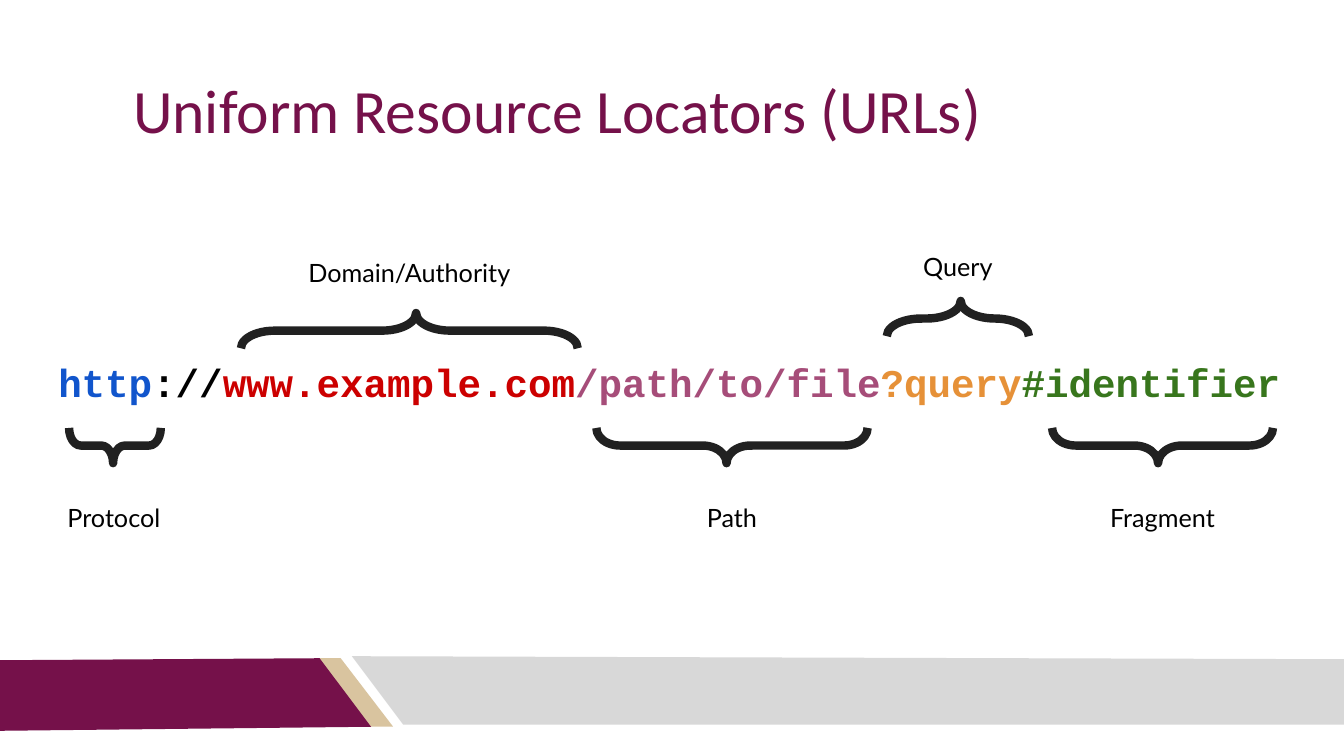
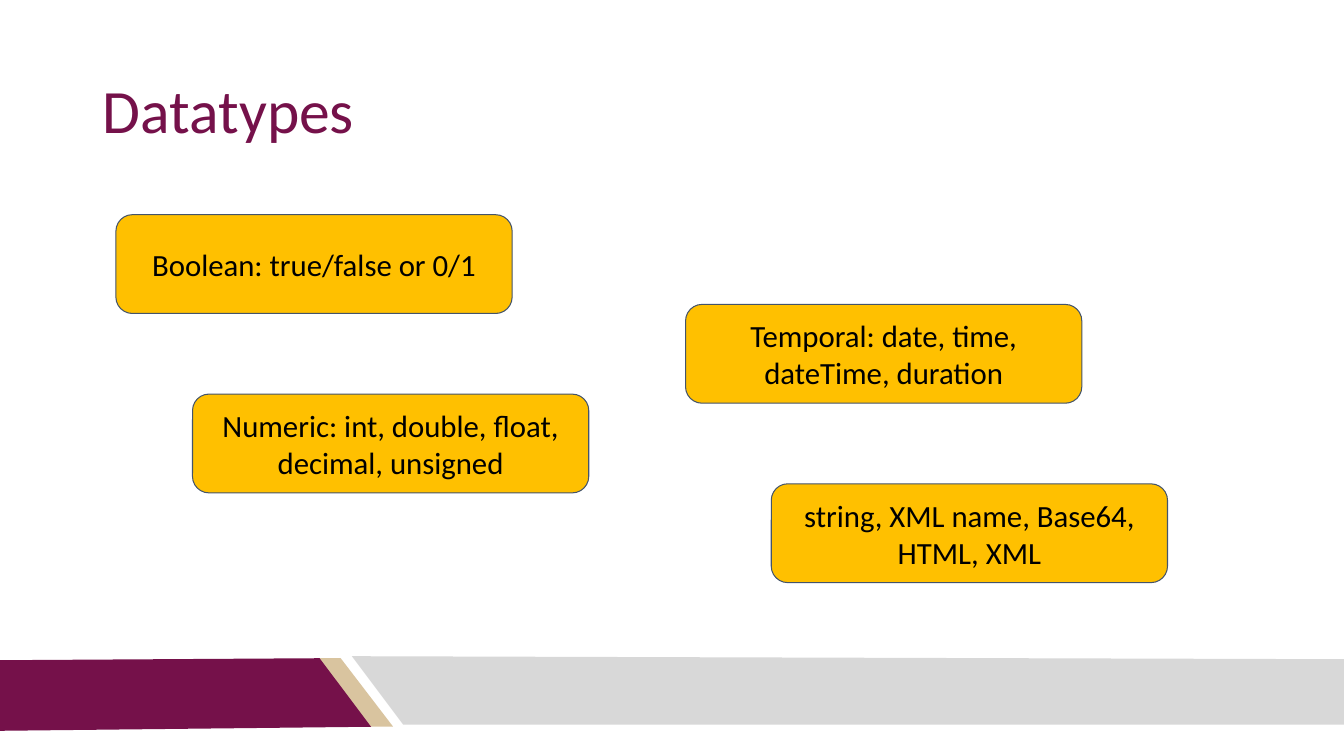
"""Build two slides: the parts of a URL, and the common datatypes."""
import pptx
import pptx.dml.color
import pptx.enum.shapes
import pptx.enum.text
import pptx.util

Inches = pptx.util.Inches
Pt = pptx.util.Pt
ALIGN = pptx.enum.text.PP_ALIGN
ANCHOR = pptx.enum.text.MSO_ANCHOR
SHAPE = pptx.enum.shapes.MSO_SHAPE

MAROON, TAN, GREY = "75114A", "D9C49F", "D8D8D8"
BLACK, CHARCOAL, AMBER, SLATE = "000000", "212121", "FFC000", "44546A"


def color(value):
    return pptx.dml.color.RGBColor.from_string(value)


def write(shape, runs, size, font, align, anchor=ANCHOR.TOP, bold=False):
    frame = shape.text_frame
    frame.word_wrap = True
    frame.auto_size = pptx.enum.text.MSO_AUTO_SIZE.NONE
    frame.vertical_anchor = anchor
    frame.margin_left = frame.margin_right = Inches(0.1)
    frame.margin_top = frame.margin_bottom = Inches(0.1)
    para = frame.paragraphs[0]
    para.alignment = align
    for text, tint in runs:
        span = para.add_run()
        span.text = text
        span.font.name = font
        span.font.size = Pt(size)
        span.font.bold = bold
        span.font.color.rgb = color(tint)
    return para


deck = pptx.Presentation()
deck.slide_width = Inches(13.33)
deck.slide_height = Inches(7.5)
layout = deck.slide_layouts[5]

pages = []
for heading, left in [("Uniform Resource Locators (URLs)", 1.22), ("Datatypes", 0.92)]:
    page = deck.slides.add_slide(layout)
    title = page.shapes.title
    title.left, title.top = Inches(left), Inches(0.4)
    title.width, title.height = Inches(11.5), Inches(1.45)
    para = write(title, [(heading, MAROON)], 44, "Calibri", ALIGN.LEFT, ANCHOR.MIDDLE)
    para.line_spacing = 0.9
    pages.append(page)
url_page, type_page = pages

bands = [
    (TAN, [(3.16, 6.53), (3.38, 6.53), (3.9, 7.21), (3.67, 7.21)]),
    (MAROON, [(0, 6.55), (3.17, 6.53), (3.68, 7.21), (0, 7.25)]),
    (GREY, [(3.49, 6.51), (13.33, 6.54), (13.33, 7.19), (4, 7.19)]),
]
for tint, corners in bands:
    points = [(Inches(x), Inches(y)) for x, y in corners]
    builder = url_page.shapes.build_freeform(*points[0])
    builder.add_line_segments(points[1:])
    band = builder.convert_to_shape()
    band.shadow.inherit = False
    band.fill.solid()
    band.fill.fore_color.rgb = color(tint)
    band.line.fill.background()
    layout.shapes.element.append(band.element)

url_parts = [
    ("http", "1155CC"),
    ("://", BLACK),
    ("www.example.com", "CC0000"),
    ("/path/to/file", "A64D79"),
    ("?query", "E69138"),
    ("#identifier", "38761D"),
]
box = url_page.shapes.add_textbox(Inches(0.48), Inches(3.45), Inches(12.57), Inches(0.71))
write(box, url_parts, 28, "Courier New", ALIGN.LEFT, bold=True)

DEPTH = 0.35
braces = [
    ("Protocol", 1.13, 4.88, 1.7, 1.14, 4.42, 0.91, 270, 0.33),
    ("Domain/Authority", 4.06, 2.45, 3.39, 4.06, 3.28, 3.34, 90, 0.96),
    ("Path", 7.26, 4.88, 1.7, 7.26, 4.42, 2.69, 270, 0.67),
    ("Query", 9.5, 2.39, 1.7, 9.5, 3.16, 1.41, 90, 1.01),
    ("Fragment", 11.53, 4.88, 1.7, 11.53, 4.42, 2.19, 270, 0.67),
]
for label, label_x, label_top, label_width, x, y, length, turn, bend in braces:
    brace = url_page.shapes.add_shape(
        SHAPE.LEFT_BRACE, Inches(x - DEPTH / 2), Inches(y - length / 2), Inches(DEPTH), Inches(length)
    )
    brace.rotation = turn
    brace.adjustments[0] = bend
    brace.adjustments[1] = 0.48
    brace.shadow.inherit = False
    brace.fill.background()
    brace.line.color.rgb = color(CHARCOAL)
    brace.line.width = Pt(6)
    box = url_page.shapes.add_textbox(
        Inches(label_x - label_width / 2), Inches(label_top), Inches(label_width), Inches(0.35)
    )
    write(box, [(label, BLACK)], 18, "Lato", ALIGN.CENTER)

datatypes = [
    (1.15, "Boolean: true/false or 0/1"),
    (6.8, "Temporal: date, time, dateTime, duration"),
    (1.91, "Numeric: int, double, float, decimal, unsigned"),
    (7.65, "string, XML name, Base64, HTML, XML"),
]
for row, (left, text) in enumerate(datatypes):
    card = type_page.shapes.add_shape(
        SHAPE.ROUNDED_RECTANGLE, Inches(left), Inches(2.13 + 0.89 * row), Inches(3.93), Inches(0.98)
    )
    card.shadow.inherit = False
    card.fill.solid()
    card.fill.fore_color.rgb = color(AMBER)
    card.line.color.rgb = color(SLATE)
    card.line.width = Pt(0.75)
    write(card, [(text, BLACK)], 22, "Calibri", ALIGN.CENTER, ANCHOR.MIDDLE)

deck.save("out.pptx")
